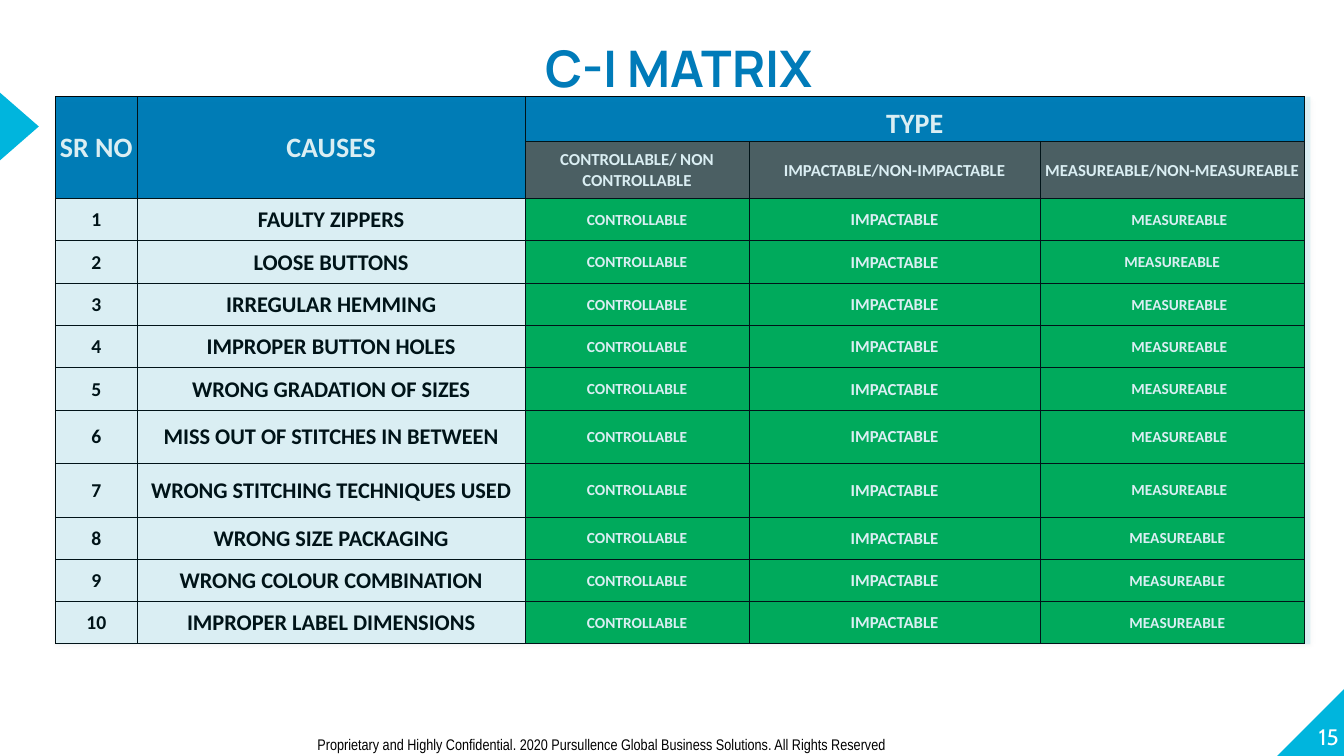
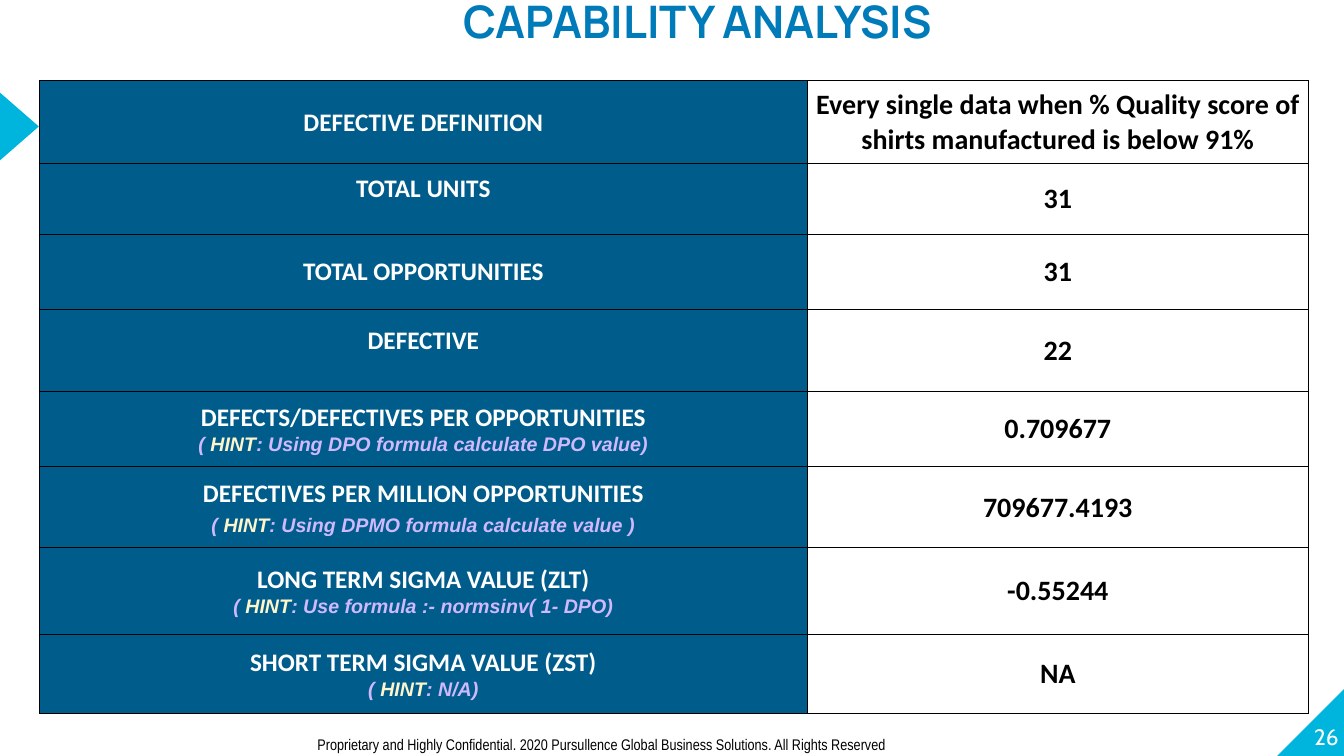
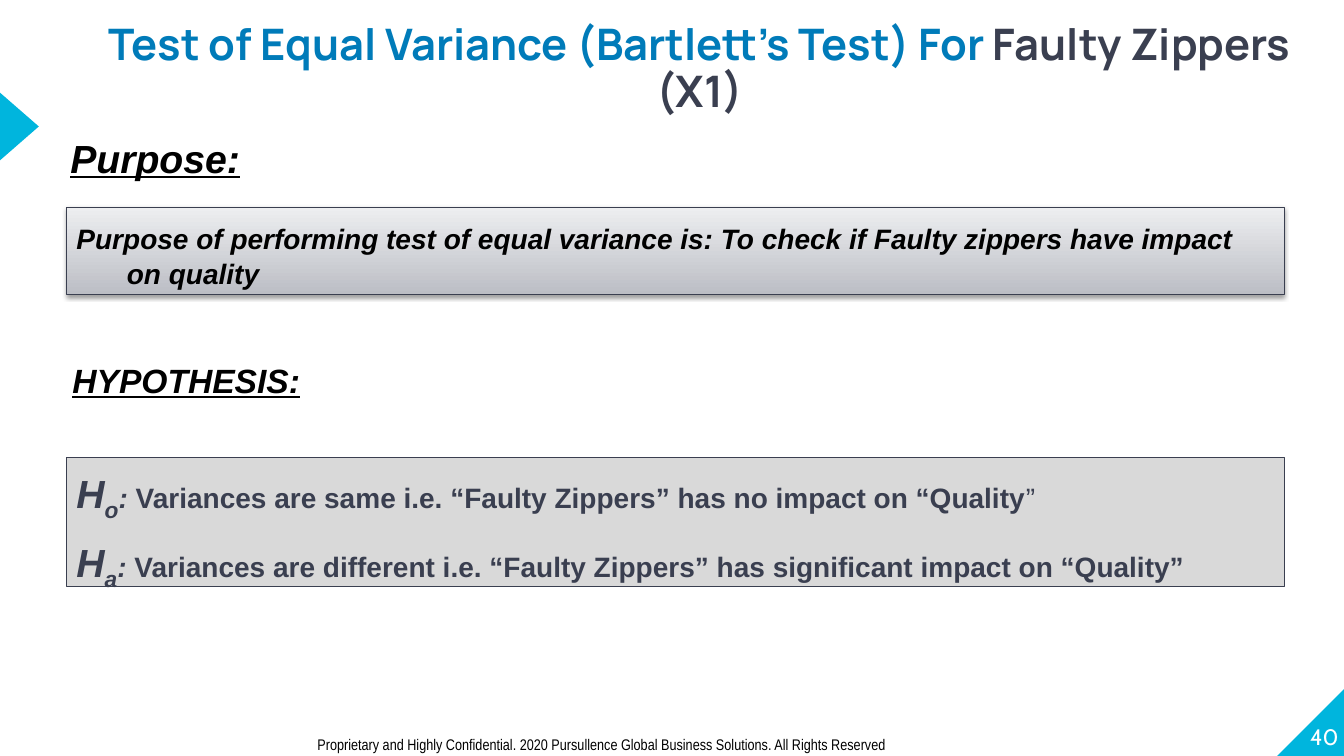
from lxml.etree import SubElement
from pptx import Presentation
from pptx.dml.color import RGBColor
from pptx.enum.shapes import MSO_SHAPE
from pptx.enum.text import MSO_ANCHOR, PP_ALIGN
from pptx.oxml.ns import qn
from pptx.util import Inches, Pt

CELL = Inches(0.1)  # pitch of the layout grid
CYAN, BLUE, NAVY, SLATE = "00B5DD", "007BB9", "005C8B", "3A3F50"
GREY, GREEN, BLACK, WHITE = "595959", "00B050", "000000", "FFFFFF"
LILAC, CREAM = "D1B9FF", "FEF5CD"
FOOTER = ("Proprietary and Highly Confidential. 2020 Pursullence Global "
          "Business Solutions. All Rights Reserved")
LEFT, CENTER, RIGHT = PP_ALIGN.LEFT, PP_ALIGN.CENTER, PP_ALIGN.RIGHT
TOP, MIDDLE, BOTTOM = MSO_ANCHOR.TOP, MSO_ANCHOR.MIDDLE, MSO_ANCHOR.BOTTOM
rgb = RGBColor.from_string


def place(*cells):
    """Turn grid columns and rows into lengths."""
    return [round(c * CELL) for c in cells]


def write(p, text, font, size, color, bold=False, italic=False, align=LEFT, more=()):
    """Fill a paragraph; each run in more lists only what differs from its font."""
    p.alignment = align
    p.font.name, p.font.size = font, Pt(size)
    p.font.bold, p.font.italic = bold, italic
    p.font.color.rgb = rgb(color)
    p.add_run().text = text
    for words, changes in more:
        r = p.add_run()
        r.text = words
        for name, value in changes.items():
            if name == "color":
                r.font.color.rgb = rgb(value)
            else:
                setattr(r.font, name, value)


prs = Presentation()
prs.slide_width, prs.slide_height = place(133.33, 75)

# Shared frame: corner, pointer, title, footer and number
pages = [
    (15, (18.8, 0.7, 97.1, 7.6), 36, 1.5, TOP, "C-I MATRIX", ()),
    (26, (40.3, 0.4, 57.9, 6.9), 32, 0.8, TOP, "CAPABILITY ANALYSIS", ()),
    (40, (8.8, 0, 121.2, 13.8), 31, 0.9, MIDDLE,
     "Test of Equal Variance (Bartlett’s Test) For ",
     [("Faulty Zippers (X1)", {"color": SLATE})]),
]
slides = []
for number, title_at, title_size, spacing, title_anchor, title, more in pages:
    s = prs.slides.add_slide(prs.slide_layouts[6])
    slides.append(s)
    for preset, at, turn in [
        (MSO_SHAPE.RIGHT_TRIANGLE, (126.7, 68.2, 6.8, 6.8), 270),
        (MSO_SHAPE.ISOSCELES_TRIANGLE, (-1.5, 10.6, 6.8, 3.9), 90),
    ]:
        sp = s.shapes.add_shape(preset, *place(*at))
        sp.rotation = turn
        sp.shadow.inherit = False
        sp.fill.solid()
        sp.fill.fore_color.rgb = rgb(CYAN)
        sp.line.fill.background()

    for at, margin, anchor, text, font, size, color, bold, align, runs in [
        (title_at, 0, title_anchor, title, "Manrope", title_size, BLUE, True, CENTER, more),
        ((30.5, 72.4, 85.1, 2.9), 1, TOP, FOOTER, "Arial Narrow", 11, BLACK, False, LEFT, ()),
        ((126.1, 67.6, 6.7, 6.8), 0, BOTTOM, str(number), "Cabin", 16, WHITE, False, RIGHT, ()),
    ]:
        tf = s.shapes.add_textbox(*place(*at)).text_frame
        tf.word_wrap = True
        tf.vertical_anchor = anchor
        tf.margin_left = tf.margin_right = margin * CELL
        tf.margin_top = tf.margin_bottom = margin * CELL // 2
        write(tf.paragraphs[0], text, font, size, color, bold, align=align, more=runs)
        if text == title:
            tf.paragraphs[0].line_spacing = spacing

matrix_slide, capability_slide, test_slide = slides

# Both tables: grid, margins and black hairlines
tables = []
for s, at, cols, rows in [
    (matrix_slide, (5.5, 9.6, 123.9, 54.3), [8.1, 38.5, 22.2, 28.9, 26.2],
     [4.4, 5.7] + [4.2] * 5 + [5.3] * 2 + [4.2] * 3),
    (capability_slide, (3.9, 8, 125.9, 62.8), [76.2, 49.7],
     [8.2, 7, 7.5, 8.1, 7.5, 8, 8.6, 7.9]),
]:
    table = s.shapes.add_table(len(rows), len(cols), *place(*at)).table
    table.first_row = table.horz_banding = False
    for column, width in zip(table.columns, place(*cols)):
        column.width = width
    for row, height in zip(table.rows, place(*rows)):
        row.height = height
    for cell in table.iter_cells():
        cell.vertical_anchor = MIDDLE
        cell.margin_left = cell.margin_right = cell.margin_top = Inches(0.01)
        cell.margin_bottom = 0
        tcPr = cell._tc.get_or_add_tcPr()
        for side in ("a:lnL", "a:lnR", "a:lnT", "a:lnB"):
            ln = SubElement(tcPr, qn(side), w=str(Pt(0.5)))
            SubElement(SubElement(ln, qn("a:solidFill")), qn("a:srgbClr"), val=BLACK)
        cell.fill.background()
    tables.append(table)
matrix, capability = tables

# C-I matrix
for first, last in [((0, 0), (1, 0)), ((0, 1), (1, 1)), ((0, 2), (0, 4))]:
    matrix.cell(*first).merge(matrix.cell(*last))
matrix.cell(0, 2).vertical_anchor = BOTTOM
headings = [
    (0, 0, "SR NO", 20, BLUE), (0, 1, "CAUSES", 20, BLUE), (0, 2, "TYPE", 20, BLUE),
    (1, 2, "CONTROLLABLE/ NON CONTROLLABLE", 12, GREY),
    (1, 3, "IMPACTABLE/NON-IMPACTABLE", 12, GREY),
    (1, 4, "MEASUREABLE/NON-MEASUREABLE", 12, GREY),
]
for row, col, text, size, fill in headings:
    cell = matrix.cell(row, col)
    cell.fill.solid()
    cell.fill.fore_color.rgb = rgb(fill)
    write(cell.text_frame.paragraphs[0], text, "Calibri", size, WHITE, True, align=CENTER)

causes = [
    "FAULTY ZIPPERS", "LOOSE BUTTONS", "IRREGULAR HEMMING", "IMPROPER BUTTON HOLES",
    "WRONG GRADATION OF SIZES", "MISS OUT OF STITCHES IN BETWEEN",
    "WRONG STITCHING TECHNIQUES USED", "WRONG SIZE PACKAGING",
    "WRONG COLOUR COMBINATION", "IMPROPER LABEL DIMENSIONS",
]
for number, cause in enumerate(causes, 1):
    entries = [(str(number), 14), (cause, 16), ("CONTROLLABLE", 11),
               ("IMPACTABLE", 12), ("MEASUREABLE", 11)]
    for col, (text, size) in enumerate(entries):
        cell = matrix.cell(number + 1, col)
        if col > 1:
            cell.fill.solid()
            cell.fill.fore_color.rgb = rgb(GREEN)
        write(cell.text_frame.paragraphs[0], text, "Calibri", size,
              WHITE if col > 1 else BLACK, True, align=CENTER)
    if number != 2:
        cell.margin_left = Inches(0.15 if number < 8 else 0.11)

tint = matrix_slide.shapes.add_shape(MSO_SHAPE.RECTANGLE, *place(5.5, 9.6, 124.5, 54.3))
tint.fill.solid()
tint.fill.fore_color.rgb = rgb(CYAN)
tint_color = tint._element.spPr.find(qn("a:solidFill"))[0]
SubElement(tint_color, qn("a:alpha"), val="11000")
tint.line.fill.background()

# Capability analysis
measures = [
    ("DEFECTIVE DEFINITION", "",
     "Every single data when % Quality score of shirts manufactured is below 91%"),
    ("TOTAL UNITS", "", "31"),
    ("TOTAL OPPORTUNITIES", "", "31"),
    ("DEFECTIVE", "", "22"),
    ("DEFECTS/DEFECTIVES PER OPPORTUNITIES",
     ": Using DPO formula calculate DPO value)", "0.709677"),
    ("DEFECTIVES PER MILLION OPPORTUNITIES",
     ": Using DPMO formula calculate value )", "709677.4193"),
    ("LONG TERM SIGMA VALUE (ZLT)", ": Use formula :- normsinv( 1- DPO)", "-0.55244"),
    ("SHORT TERM SIGMA VALUE (ZST)", ": N/A)", "NA"),
]
for row, (measure, hint, value) in enumerate(measures):
    label, result = capability.cell(row, 0), capability.cell(row, 1)
    label.fill.solid()
    label.fill.fore_color.rgb = rgb(NAVY)
    write(label.text_frame.paragraphs[0], measure, "Calibri", 18, WHITE, True, align=CENTER)
    write(result.text_frame.paragraphs[0], value, "Calibri", 20, BLACK, True, align=CENTER)
    if hint:
        p = label.text_frame.add_paragraph()
        write(p, "( ", "Arial", 14, LILAC, True, True, CENTER,
              [("HINT", {"color": CREAM}), (hint, {})])
        if "DPMO" in hint:
            p.space_before = Pt(4)
    if measure in ("TOTAL UNITS", "DEFECTIVE"):
        label.margin_bottom = Inches(0.2)

# Test of equal variance
for at, text, size in [((6, 12.8, 53.3, 5.7), "Purpose:", 28),
                       ((6.2, 35.2, 53.3, 5), "HYPOTHESIS:", 24)]:
    tf = test_slide.shapes.add_textbox(*place(*at)).text_frame
    tf.word_wrap = True
    write(tf.paragraphs[0], text, "Arial", size, BLACK, True, True)
    tf.paragraphs[0].font.underline = True

panels = []
for at, margin_top in [((6.6, 20.6, 120.8, 8.6), 1.2), ((6.6, 45.4, 120.8, 12.8), 0.9)]:
    sp = test_slide.shapes.add_shape(MSO_SHAPE.RECTANGLE, *place(*at))
    sp.shadow.inherit = False
    sp.line.color.rgb = rgb(SLATE)
    sp.line.width = Pt(0.75)
    sp.text_frame.word_wrap = True
    sp.text_frame.vertical_anchor = TOP
    sp.text_frame.margin_top = round(margin_top * CELL)
    panels.append(sp)
purpose, hypotheses = panels

purpose.fill.gradient()
purpose.fill.gradient_angle = 90
for stop, color in zip(purpose.fill.gradient_stops, ["BCBEC5", "EDEEF0"]):
    stop.color.rgb = rgb(color)
write(purpose.text_frame.paragraphs[0],
      "Purpose of performing test of equal variance is: "
      "To check if Faulty zippers have impact on quality", "Arial", 20, BLACK, True, True)

hypotheses.fill.solid()
hypotheses.fill.fore_color.rgb = rgb("D9D9D9")
null, alternative = hypotheses.text_frame.paragraphs[0], hypotheses.text_frame.add_paragraph()
alternative.space_before = Pt(9)
for p, letter, claim, close, close_bold in [
    (null, "o", "Variances are same i.e. “Faulty Zippers” has no impact on “Quality", "”", False),
    (alternative, "a", "Variances are different i.e. “Faulty Zippers” has significant "
     "impact on “Quality", "”", True),
]:
    upright = {"size": Pt(20), "italic": False}
    write(p, "H", "Arial", 28, SLATE, True, True, more=[
        (letter, {}), (": ", {"size": Pt(20)}), (claim, upright),
        (close, {**upright, "bold": close_bold})])
    p.runs[1].font._element.set("baseline", "-25000")

for p in (purpose.text_frame.paragraphs[0], null, alternative):
    p.line_spacing = 1.05
    pPr = p._p.get_or_add_pPr()
    pPr.set("marL", str(Inches(0.5)))
    pPr.set("indent", str(-Inches(0.5)))

# Soft shadows straight below
for sp, opacity, blur, distance in [(tint, 32, 3.5, 2.2), (purpose, 38, 3.1, 1.6)]:
    sp.shadow.inherit = False
    shadow = SubElement(sp._element.spPr.find(qn("a:effectLst")), qn("a:outerShdw"),
                        blurRad=str(Pt(blur)), dist=str(Pt(distance)),
                        dir="5400000", rotWithShape="0")
    shade = SubElement(shadow, qn("a:srgbClr"), val=BLACK)
    SubElement(shade, qn("a:alpha"), val=str(opacity * 1000))

prs.save("out.pptx")
